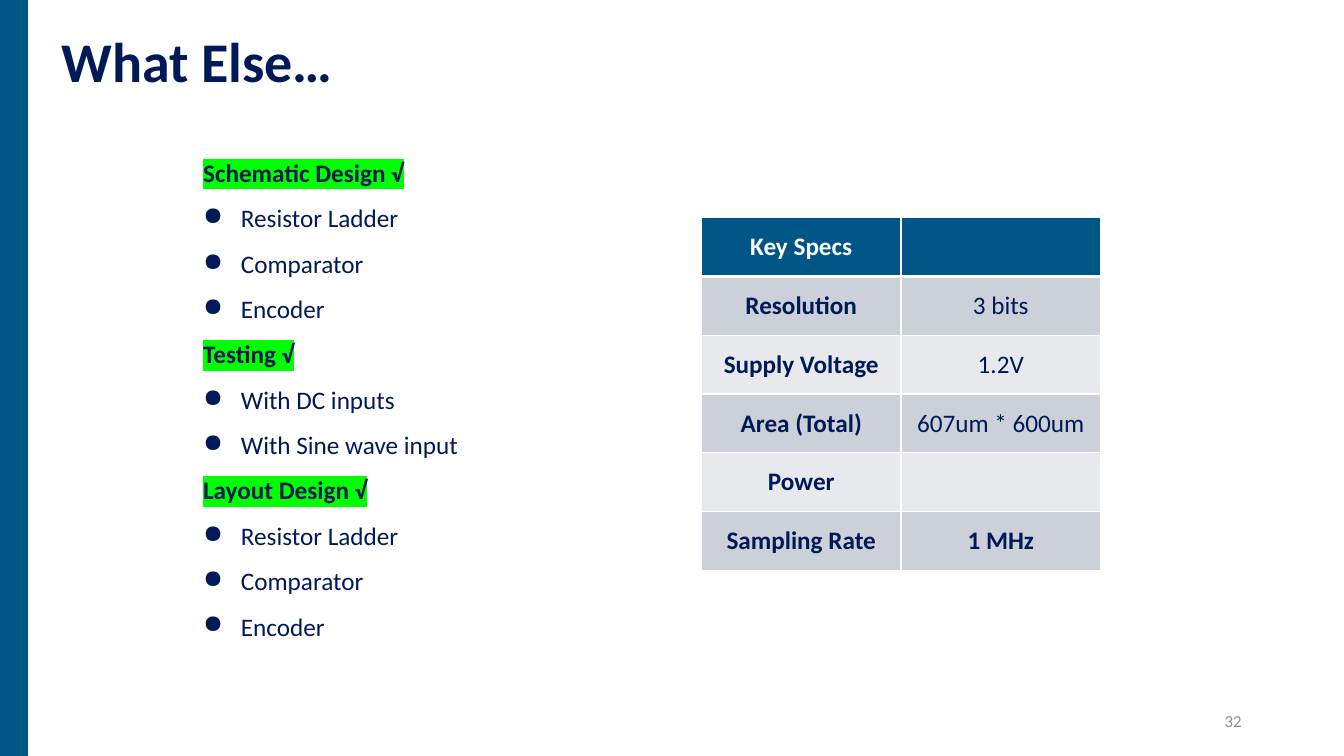
from lxml.etree import SubElement
from pptx import Presentation
from pptx.dml.color import RGBColor
from pptx.enum.shapes import MSO_SHAPE
from pptx.enum.text import MSO_ANCHOR, PP_ALIGN
from pptx.oxml import parse_xml
from pptx.oxml.ns import nsdecls, qn
from pptx.util import Pt

FONT = "Calibri"
NAVY, BLUE, WHITE, GREY = "001A57", "005587", "FFFFFF", "8C8D9A"
BANDS = ("CCD1D9", "E7E9ED")
GREEN = "00FF00"

TASKS = [
    ("Schematic Design √", ["Resistor Ladder", "Comparator", "Encoder"]),
    ("Testing √", ["With DC inputs", "With Sine wave input"]),
    ("Layout Design √", ["Resistor Ladder", "Comparator", "Encoder"]),
]
SPECS = [
    ("Key Specs", ""),
    ("Resolution", "3 bits"),
    ("Supply Voltage", "1.2V"),
    ("Area (Total)", "607um * 600um"),
    ("Power", ""),
    ("Sampling Rate", "1 MHz"),
]


def color(hex_code):
    return RGBColor.from_string(hex_code)


def write(para, text, size, hex_code, bold=False, align=PP_ALIGN.LEFT):
    para.text = text
    para.alignment = align
    for span in para.runs:
        font = span.font
        font.name, font.size, font.bold = FONT, Pt(size), bold
        font.color.rgb = color(hex_code)


def add_text_frame(page, box, anchor=MSO_ANCHOR.TOP):
    frame = page.shapes.add_textbox(*map(Pt, box)).text_frame
    frame.word_wrap = True
    frame.vertical_anchor = anchor
    return frame


def highlight(span, hex_code):
    fill = span.font._element.find(qn("a:solidFill"))
    fill.addnext(parse_xml(
        f'<a:highlight {nsdecls("a")}><a:srgbClr val="{hex_code}"/></a:highlight>'))


def add_bullet(para, indent):
    properties = para._p.get_or_add_pPr()
    properties.set("marL", str(Pt(indent)))
    properties.set("indent", str(-Pt(indent)))
    SubElement(properties, qn("a:buChar")).set("char", "●")


def set_borders(cell, top, bottom):
    properties = cell._tc.get_or_add_tcPr()
    sides = (("lnL", 1), ("lnR", 1), ("lnT", top), ("lnB", bottom))
    for place, (side, width) in enumerate(sides):
        properties.insert(place, parse_xml(
            f'<a:{side} {nsdecls("a")} w="{Pt(width)}"><a:solidFill>'
            f'<a:srgbClr val="{WHITE}"/></a:solidFill></a:{side}>'))


def add_side_bar(page, box):
    bar = page.shapes.add_shape(MSO_SHAPE.RECTANGLE, *map(Pt, box))
    bar.shadow.inherit = False
    bar.fill.solid()
    bar.fill.fore_color.rgb = color(BLUE)
    bar.line.fill.background()


def add_title(page, box, text):
    write(add_text_frame(page, box).paragraphs[0], text, 40, NAVY, bold=True)


def add_page_number(page, box, number):
    frame = add_text_frame(page, box, MSO_ANCHOR.MIDDLE)
    write(frame.paragraphs[0], number, 12, GREY, align=PP_ALIGN.RIGHT)


def add_task_list(page, box, tasks):
    frame = add_text_frame(page, box)
    lines = []
    for heading, items in tasks:
        lines += [(heading, True)] + [(item, False) for item in items]
    for index, (text, is_heading) in enumerate(lines):
        para = frame.add_paragraph() if index else frame.paragraphs[0]
        write(para, text, 18, NAVY, bold=is_heading)
        para.line_spacing = 1.5
        if is_heading:
            highlight(para.runs[0], GREEN)
        else:
            add_bullet(para, 27)


def add_spec_table(page, box, specs):
    table = page.shapes.add_table(len(specs), 2, *map(Pt, box)).table
    for r, texts in enumerate(specs):
        header, last = r == 0, r == len(specs) - 1
        for c, text in enumerate(texts):
            cell = table.cell(r, c)
            cell.vertical_anchor = MSO_ANCHOR.MIDDLE
            write(cell.text_frame.paragraphs[0], text, 18,
                  WHITE if header else NAVY,
                  bold=c == 0 or last, align=PP_ALIGN.CENTER)
            cell.fill.solid()
            cell.fill.fore_color.rgb = color(BLUE if header else BANDS[(r - 1) % 2])
            # A thick rule parts the header from the body
            set_borders(cell, top=3 if r == 1 else 1, bottom=3 if header else 1)


def main():
    deck = Presentation()
    deck.slide_width, deck.slide_height = Pt(960), Pt(540)
    page = deck.slides.add_slide(deck.slide_layouts[6])

    # Frame of the slide
    add_side_bar(page, (0, 0, 20, 540))
    add_title(page, (36.9, 15.1, 715.7, 55.4), "What Else…")
    add_page_number(page, (678, 500.5, 216, 28.75), "32")

    # Progress on the left, key figures on the right
    add_task_list(page, (138, 98, 245, 363.5), TASKS)
    add_spec_table(page, (501.1, 155.5, 285, 252), SPECS)

    deck.save("out.pptx")


if __name__ == "__main__":
    main()
